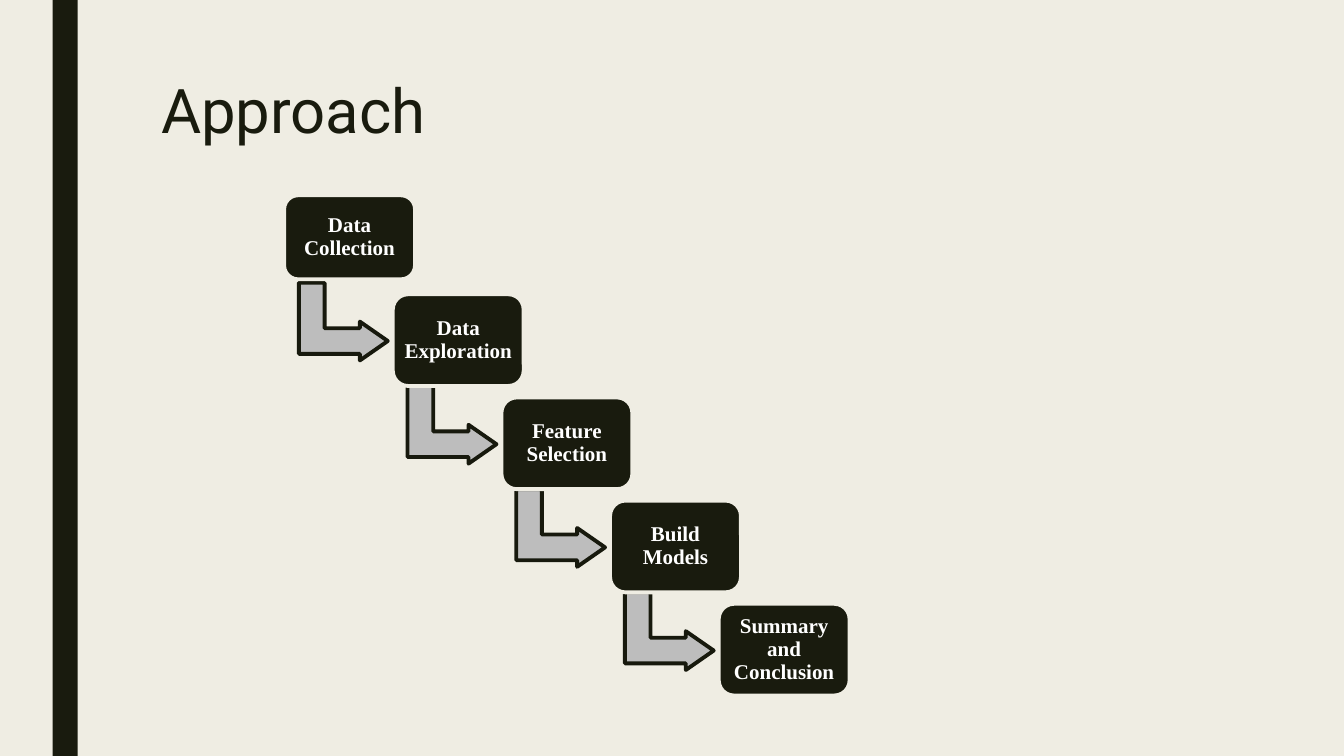
"""Build the Approach slide: a staircase of five project steps."""
from dataclasses import dataclass

from pptx import Presentation
from pptx.dml.color import RGBColor
from pptx.enum.shapes import MSO_SHAPE as Shape
from pptx.enum.text import MSO_ANCHOR as Anchor, PP_ALIGN as Align
from pptx.util import Pt


@dataclass(frozen=True)
class Theme:
    paper: str = "EFEDE3"
    ink: str = "191B0E"
    arrow_fill: str = "BDBDBD"
    arrow_line: str = "17190D"
    step_text: str = "FFFFFF"
    title_font: str = "Roboto"
    step_font: str = "Times New Roman"
    title_size: float = 44
    step_size: float = 15
    line_width: float = 2.75


theme = Theme()


def add_block(kind, left, top, width, height, fill, line=None):
    block = slide.shapes.add_shape(kind, Pt(left), Pt(top), Pt(width), Pt(height))
    block.shadow.inherit = False
    block.fill.solid()
    block.fill.fore_color.rgb = RGBColor.from_string(fill)
    if line:
        block.line.color.rgb = RGBColor.from_string(line)
        block.line.width = Pt(theme.line_width)
    else:
        block.line.fill.background()
    return block


def write(frame, text, font, size, color, spacing, align, bold=False):
    frame.word_wrap = True
    frame.text = text
    paragraph = frame.paragraphs[0]
    paragraph.alignment = align
    paragraph.line_spacing = spacing
    style = paragraph.runs[0].font
    style.name, style.size, style.bold = font, Pt(size), bold
    style.color.rgb = RGBColor.from_string(color)


deck = Presentation()
deck.slide_width, deck.slide_height = Pt(960), Pt(540)
slide = deck.slides.add_slide(deck.slide_layouts[6])
slide.background.fill.solid()
slide.background.fill.fore_color.rgb = RGBColor.from_string(theme.paper)

add_block(Shape.RECTANGLE, 37.5, 0, 18, 540, theme.ink)

title = slide.shapes.add_textbox(Pt(108), Pt(54), Pt(756), Pt(117))
write(title.text_frame, "Approach", theme.title_font, theme.title_size,
      theme.ink, 0.89, Align.LEFT)

steps = ["Data Collection", "Data Exploration", "Feature Selection",
         "Build Models", "Summary and Conclusion"]
step_right, step_down = 77.6, 73.7
box_left, box_bottom, box_width = 203, 202, 93.5
first_height, box_height = 60, 65.5
arrow_left, arrow_top, arrow_width, arrow_height = 217.5, 198, 55.5, 63.5

for index, step in enumerate(steps):
    across, down = index * step_right, index * step_down
    if index < len(steps) - 1:
        arrow = add_block(Shape.BENT_UP_ARROW, arrow_left + across, arrow_top + down,
                          arrow_width, arrow_height, theme.arrow_fill, theme.arrow_line)
        arrow.rotation = 90
        for position, ratio in enumerate((0.33, 0.25, 0.36)):
            arrow.adjustments[position] = ratio

    height = box_height if index else first_height
    bottom = box_bottom + down if index else arrow_top + 1.5
    box = add_block(Shape.ROUNDED_RECTANGLE, box_left + across, bottom - height,
                    box_width, height, theme.ink, theme.paper)
    frame = box.text_frame
    frame.margin_left = frame.margin_right = Pt(4.5)
    frame.margin_top = frame.margin_bottom = Pt(4.5)
    frame.vertical_anchor = Anchor.MIDDLE
    write(frame, step, theme.step_font, theme.step_size, theme.step_text,
          0.9, Align.CENTER, bold=True)

deck.save("out.pptx")
